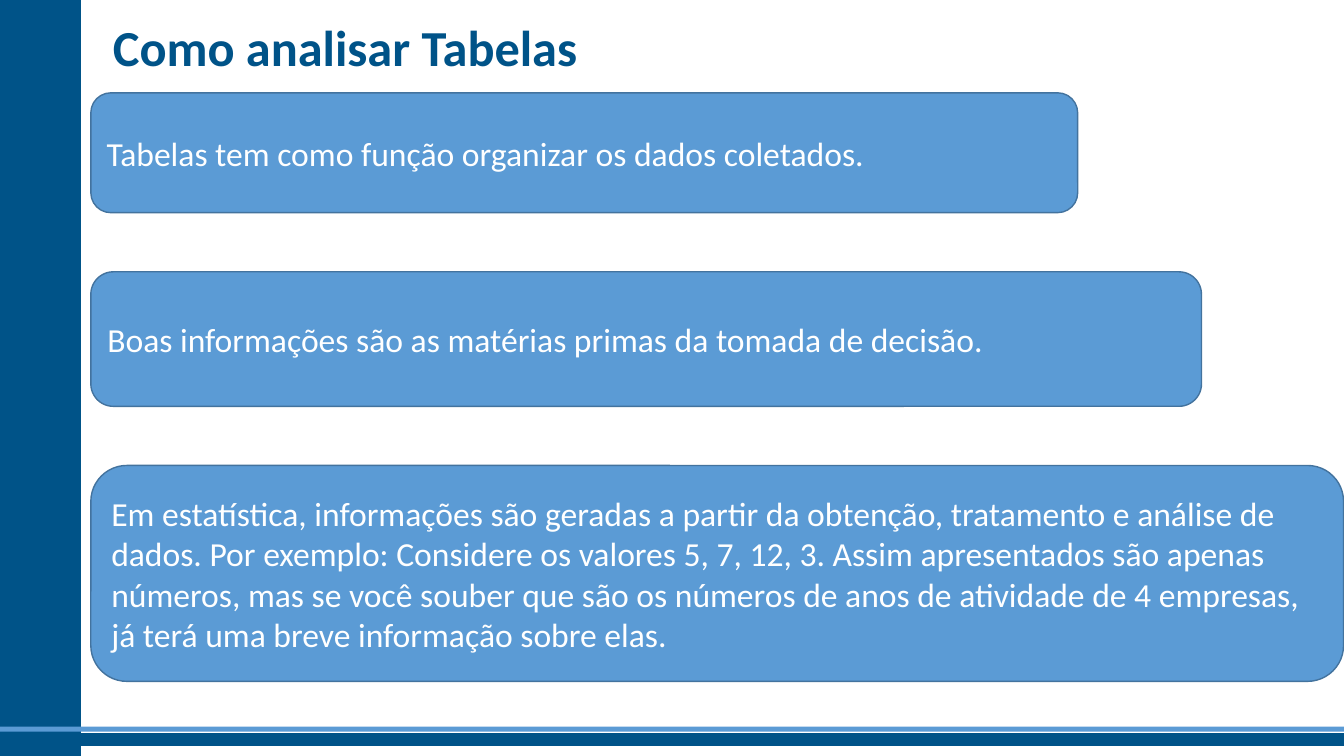
from dataclasses import dataclass

from pptx import Presentation
from pptx.dml.color import RGBColor
from pptx.enum.shapes import MSO_SHAPE as Preset
from pptx.enum.text import MSO_ANCHOR as Anchor, MSO_AUTO_SIZE as AutoSize, PP_ALIGN as Align
from pptx.util import Cm, Pt


@dataclass(frozen=True)
class Theme:
    """Colours, font and type sizes of the slide."""
    navy: RGBColor = RGBColor.from_string("005388")
    sky: RGBColor = RGBColor.from_string("5B9BD5")
    outline: RGBColor = RGBColor.from_string("43739E")
    white: RGBColor = RGBColor.from_string("FFFFFF")
    font: str = "Calibri"
    title_size: Pt = Pt(36)
    body_size: Pt = Pt(24)
    line_width: Pt = Pt(1)


THEME = Theme()
SLIDE_WIDTH, SLIDE_HEIGHT = Cm(33.87), Cm(19.05)
STATEMENT_LEFT, STATEMENT_TOP, STATEMENT_GAP = Cm(2.29), Cm(2.34), Cm(1.49)
STATEMENTS = [
    (Cm(24.87), Cm(3.02), "Tabelas tem como função organizar os dados coletados."),
    (Cm(27.99), Cm(3.39), "Boas informações são as matérias primas da tomada de decisão."),
    (Cm(31.57), Cm(5.44),
     "Em estatística, informações são geradas a partir da obtenção, tratamento e análise de "
     "dados. Por exemplo: Considere os valores 5, 7, 12, 3. Assim apresentados são apenas "
     "números, mas se você souber que são os números de anos de atividade de 4 empresas, "
     "já terá uma breve informação sobre elas."),
]


def add_block(slide, preset, bounds, fill, outline=None):
    """Add a flat filled shape, outlined only when a colour is given."""
    block = slide.shapes.add_shape(preset, *bounds)
    block.shadow.inherit = False
    block.fill.solid()
    block.fill.fore_color.rgb = fill
    if outline is None:
        block.line.fill.background()
    else:
        block.line.color.rgb = outline
        block.line.width = THEME.line_width
    return block


def write_text(frame, wording, size, color, bold=False):
    """Write one left-aligned, vertically centred paragraph."""
    frame.text = wording
    frame.word_wrap = True
    frame.auto_size = AutoSize.NONE
    frame.vertical_anchor = Anchor.MIDDLE
    paragraph = frame.paragraphs[0]
    paragraph.alignment = Align.LEFT
    paragraph.font.name = THEME.font
    paragraph.font.size = size
    paragraph.font.bold = bold
    paragraph.font.color.rgb = color
    return paragraph


def add_frame_bars(slide):
    """Add the side band and the two strips along the bottom."""
    add_block(slide, Preset.RECTANGLE, (0, 0, Cm(2.03), SLIDE_HEIGHT), THEME.navy, THEME.navy)
    add_block(slide, Preset.RECTANGLE, (0, Cm(18.49), SLIDE_WIDTH, Cm(0.3)),
              THEME.navy, THEME.navy)
    add_block(slide, Preset.RECTANGLE, (0, Cm(18.31), SLIDE_WIDTH, Cm(0.13)), THEME.sky)


def place_title(slide, wording):
    """Position and format the title placeholder."""
    title = slide.shapes.title
    title.left, title.top, title.width, title.height = Cm(2.59), Cm(0.33), Cm(13.69), Cm(1.88)
    heading = write_text(title.text_frame, wording, THEME.title_size, THEME.navy, bold=True)
    heading.line_spacing = 0.9
    heading.space_before = Pt(10)


def add_statements(slide):
    """Stack the rounded statement boxes with equal gaps."""
    top = STATEMENT_TOP
    for width, height, wording in STATEMENTS:
        statement = add_block(slide, Preset.ROUNDED_RECTANGLE,
                              (STATEMENT_LEFT, top, width, height), THEME.sky, THEME.outline)
        write_text(statement.text_frame, wording, THEME.body_size, THEME.white)
        top += height + STATEMENT_GAP


def main():
    """Build the slide and save it."""
    deck = Presentation()
    deck.slide_width, deck.slide_height = SLIDE_WIDTH, SLIDE_HEIGHT
    slide = deck.slides.add_slide(deck.slide_layouts[5])
    add_frame_bars(slide)
    place_title(slide, "Como analisar Tabelas")
    add_statements(slide)
    deck.save("out.pptx")


if __name__ == "__main__":
    main()
